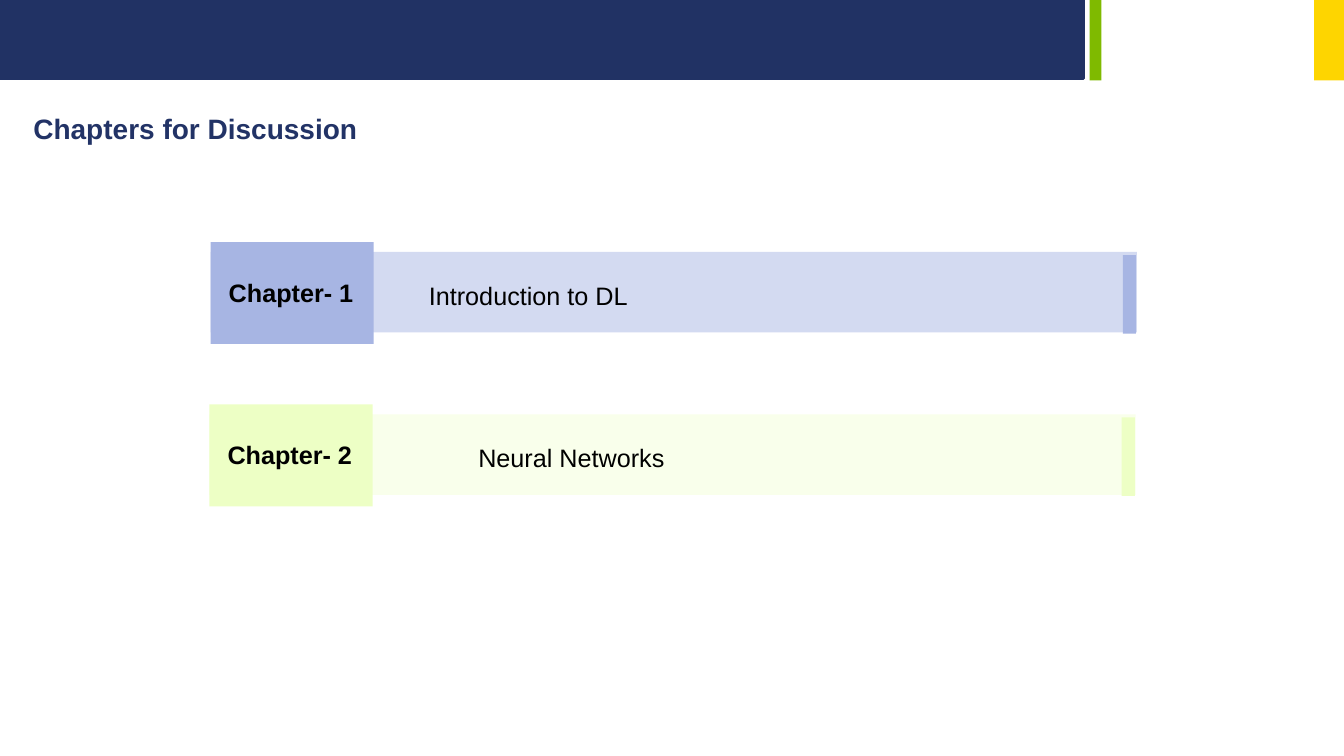
from pptx import Presentation
from pptx.dml.color import RGBColor
from pptx.enum.shapes import MSO_SHAPE as Shape
from pptx.enum.text import MSO_ANCHOR as Anchor, MSO_AUTO_SIZE as AutoSize, PP_ALIGN as Align
from pptx.util import Cm, Pt

# Content
TITLE = "Chapters for Discussion"
CHAPTERS = [  # label, topic, left edge, topic width, bar colour, accent colour
    ("Chapter- 1", "Introduction to DL", 5.31, 7.37, "pale blue", "blue"),
    ("Chapter- 2", "Neural Networks", 5.28, 9.6, "pale lime", "lime"),
]
HEADER = [  # left, width, height, colour
    (0, 27.31, 1.98, "navy"),
    (27.46, 0.3, 2.03, "green"),
    (33.12, 0.75, 2.03, "yellow"),
]
COLORS = {
    "navy": "213264", "green": "7FBA00", "yellow": "FED500",
    "title": "223366", "black": "000000",
    "pale blue": "D3DAF1", "blue": "A7B5E3",
    "pale lime": "F9FFEB", "lime": "EDFFC5",
}
FIRST_ROW_TOP, ROW_STEP = 6.1, 4.09


def color(name):
    return RGBColor.from_string(COLORS[name])


def add_block(shapes, left, top, width, height, fill):
    block = shapes.add_shape(Shape.RECTANGLE, Cm(left), Cm(top), Cm(width), Cm(height))
    block.shadow.inherit = False
    block.fill.solid()
    block.fill.fore_color.rgb = color(fill)
    block.line.fill.background()
    return block


def add_text(shapes, text, left, top, width, height, size=18, bold=False,
             ink="black", align=Align.CENTER):
    box = shapes.add_textbox(Cm(left), Cm(top), Cm(width), Cm(height))
    frame = box.text_frame
    frame.word_wrap = True
    frame.auto_size = AutoSize.SHAPE_TO_FIT_TEXT
    frame.vertical_anchor = Anchor.TOP
    frame.margin_left = frame.margin_right = Cm(0.33)
    frame.margin_top = frame.margin_bottom = Cm(0.18)
    frame.text = text
    para = frame.paragraphs[0]
    para.alignment = align
    font = para.runs[0].font
    font.name, font.size, font.bold = "Arial", Pt(size), bold
    font.color.rgb = color(ink)


def add_chapter(page, top, label, topic, left, topic_width, bar, accent):
    shapes = page.shapes.add_group_shape().shapes
    add_block(shapes, left, top + 0.25, 23.34, 2.03, bar)
    add_block(shapes, left, top, 4.11, 2.57, accent)
    add_text(shapes, label, left - 0.03, top + 0.71, 4.11, 1.12, bold=True)
    add_text(shapes, topic, left + 4.32, top + 0.78, topic_width, 1.12)
    add_block(shapes, left + 22.99, top + 0.33, 0.33, 1.98, accent)


def main():
    deck = Presentation()
    deck.slide_width, deck.slide_height = Cm(33.87), Cm(19.05)
    page = deck.slides.add_slide(deck.slide_layouts[6])

    # Header band
    for left, width, height, fill in HEADER:
        block = add_block(page.shapes, left, 0, width, height, fill)
        if fill == "navy":
            block.line.color.rgb = color(fill)
            block.line.width = Pt(2)

    # Title
    add_text(page.shapes, TITLE, 0.51, 2.64, 11.94, 1.19, size=20, bold=True,
             ink="title", align=Align.LEFT)

    # Chapter rows
    for row, chapter in enumerate(CHAPTERS):
        add_chapter(page, FIRST_ROW_TOP + row * ROW_STEP, *chapter)

    deck.save("out.pptx")


if __name__ == "__main__":
    main()
